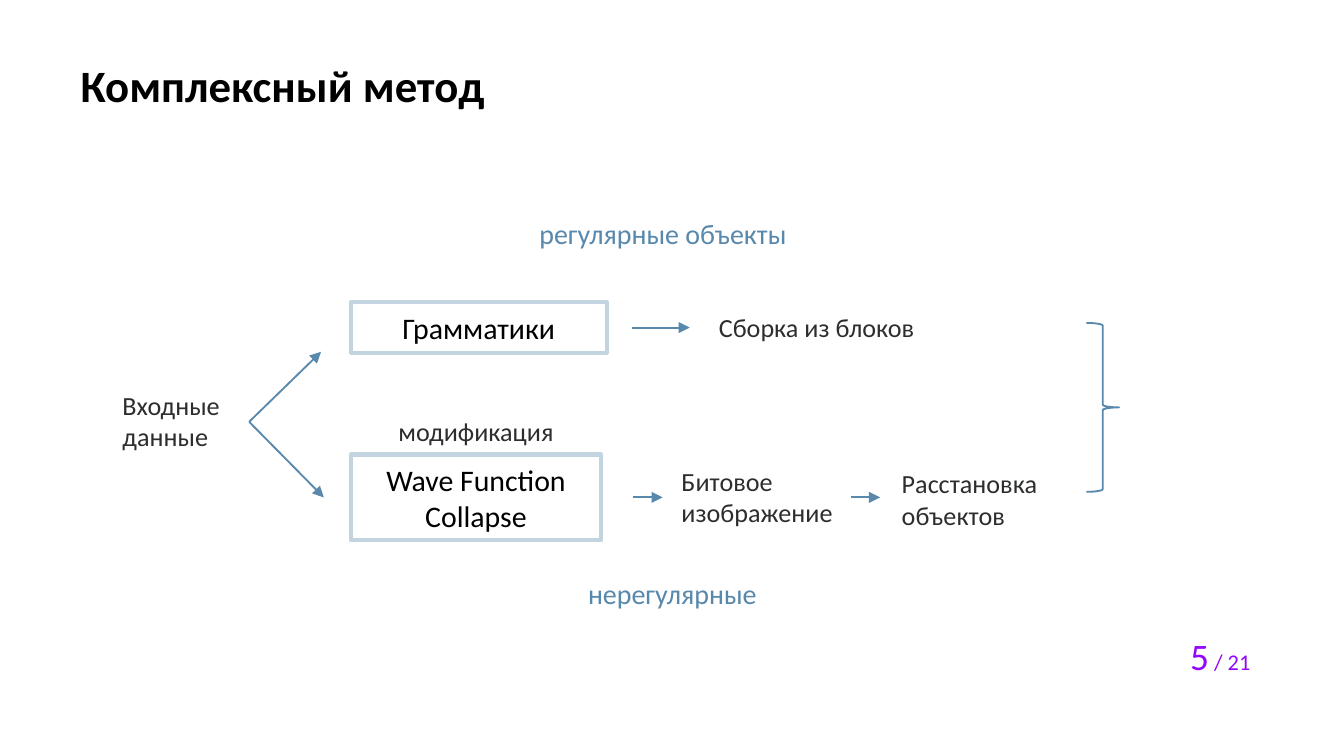
"""Build the slide that outlines the combined generation method."""
from dataclasses import dataclass

from pptx import Presentation
from pptx.dml.color import RGBColor
from pptx.enum.shapes import MSO_CONNECTOR, MSO_SHAPE
from pptx.enum.text import MSO_ANCHOR, PP_ALIGN
from pptx.oxml.ns import qn
from pptx.util import Pt
from lxml.etree import SubElement


@dataclass(frozen=True)
class Theme:
    font: str = "Calibri"
    black: RGBColor = RGBColor(0x00, 0x00, 0x00)
    body: RGBColor = RGBColor(0x2C, 0x2D, 0x2E)
    accent: RGBColor = RGBColor(0x58, 0x88, 0xAC)
    frame: RGBColor = RGBColor(0xC3, 0xD4, 0xE1)
    page: RGBColor = RGBColor(0x93, 0x07, 0xFE)
    title_size: float = 24
    method_size: float = 16
    branch_size: float = 15
    step_size: float = 14
    page_size: float = 20
    total_size: float = 12


theme = Theme()


def write(shape, *runs, color=theme.body, align=PP_ALIGN.LEFT,
          anchor=MSO_ANCHOR.TOP, bold=False):
    """Fill a shape with one paragraph of (text, size) runs."""
    frame = shape.text_frame
    frame.word_wrap = True
    frame.vertical_anchor = anchor
    paragraph = frame.paragraphs[0]
    paragraph.alignment = align
    for words, size in runs:
        run = paragraph.add_run()
        run.text = words
        run.font.name = theme.font
        run.font.size = Pt(size)
        run.font.bold = bold
        run.font.color.rgb = color


deck = Presentation()
deck.slide_width, deck.slide_height = Pt(720), Pt(405)
slide = deck.slides.add_slide(deck.slide_layouts[5])
shapes = slide.shapes

title = shapes.title
title.left, title.top, title.width, title.height = Pt(36), Pt(24.5), Pt(537), Pt(42)
write(title, ("Комплексный метод", theme.title_size), color=theme.black,
      anchor=MSO_ANCHOR.MIDDLE, bold=True)

methods = [
    ("Грамматики", 188, 162, 137, 27),
    ("Wave Function Collapse", 188, 243.5, 134, 46),
]
for words, left, top, width, height in methods:
    method = shapes.add_shape(MSO_SHAPE.RECTANGLE, Pt(left), Pt(top), Pt(width), Pt(height))
    method.shadow.inherit = False
    method.fill.background()
    method.line.color.rgb = theme.frame
    method.line.width = Pt(2.25)
    write(method, (words, theme.method_size), color=theme.black,
          align=PP_ALIGN.CENTER, anchor=MSO_ANCHOR.MIDDLE)

branches = [
    ("регулярные объекты", 280, 112.5, 148.5, 35, PP_ALIGN.RIGHT),
    ("нерегулярные", 286, 305.5, 148.5, 30, PP_ALIGN.CENTER),
]
for words, left, top, width, height, align in branches:
    branch = shapes.add_textbox(Pt(left), Pt(top), Pt(width), Pt(height))
    write(branch, (words, theme.branch_size), color=theme.accent, align=align)

steps = [
    ("Входные данные", 58.5, 205, 85, 49, PP_ALIGN.LEFT),
    ("Сборка из блоков", 378, 163.5, 137, 27, PP_ALIGN.LEFT),
    ("модификация", 188, 219, 134, 24, PP_ALIGN.CENTER),
    ("Битовое изображение", 358, 245.5, 98.5, 46, PP_ALIGN.LEFT),
    ("Расстановка объектов", 476, 247, 98.5, 46, PP_ALIGN.LEFT),
]
for words, left, top, width, height, align in steps:
    step = shapes.add_textbox(Pt(left), Pt(top), Pt(width), Pt(height))
    write(step, (words, theme.step_size), align=align)

fork_x, fork_y = 133.5, 226
upper_y, lower_y = 175.5, 266.5
arrows = [
    (fork_x, fork_y, 172, 188.5),
    (fork_x, fork_y, 173.5, lower_y),
    (338.5, upper_y, 369.5, upper_y),
    (339, lower_y, 355, lower_y),
    (456, lower_y, 471.5, lower_y),
]
for ends in arrows:
    arrow = shapes.add_connector(MSO_CONNECTOR.STRAIGHT, *map(Pt, ends))
    arrow.line.color.rgb = theme.accent
    arrow.line.width = Pt(1)
    SubElement(arrow.line._get_or_add_ln(), qn("a:tailEnd"), type="triangle")
    SubElement(arrow._element.spPr, qn("a:effectLst"))

brace = shapes.add_shape(MSO_SHAPE.RIGHT_BRACE, Pt(582), Pt(173), Pt(17.5), Pt(90.5))
brace.shadow.inherit = False
brace.fill.background()
brace.line.color.rgb = theme.accent
brace.line.width = Pt(1)

page = shapes.add_textbox(Pt(597), Pt(335.5), Pt(80), Pt(32))
write(page, ("5", theme.page_size), (" / 21", theme.total_size),
      color=theme.page, align=PP_ALIGN.RIGHT)

deck.save("out.pptx")
